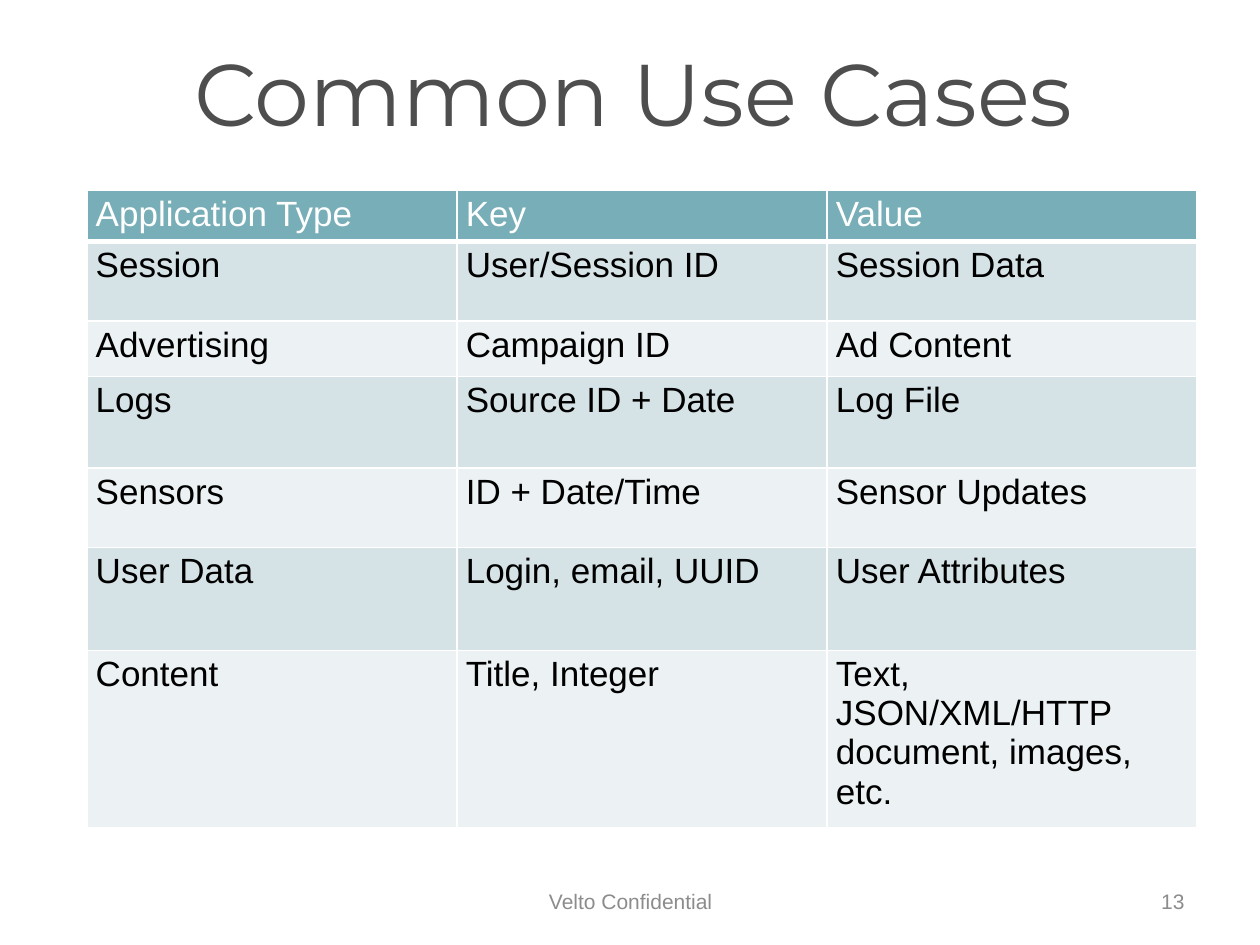
import pptx
import pptx.util
import pptx.dml.color
import pptx.enum.text
import pptx.oxml
import pptx.oxml.ns
from pptx.util import Cm

RGBColor = pptx.dml.color.RGBColor
PP_ALIGN = pptx.enum.text.PP_ALIGN
MIDDLE = pptx.enum.text.MSO_ANCHOR.MIDDLE

WHITE = RGBColor(0xFF, 0xFF, 0xFF)
BLACK = RGBColor(0x00, 0x00, 0x00)
TITLE_GREY = RGBColor(0x4E, 0x4E, 0x4E)
FOOTER_GREY = RGBColor(0x8C, 0x8C, 0x8C)
HEADER_TEAL = RGBColor(0x78, 0xAE, 0xB7)
BAND_DARK = RGBColor(0xD6, 0xE3, 0xE6)
BAND_LIGHT = RGBColor(0xEC, 0xF2, 0xF3)


def write_text(frame, text, size=20, font="Arial", color=BLACK, align=PP_ALIGN.LEFT):
    frame.word_wrap = True
    paragraph = frame.paragraphs[0]
    paragraph.alignment = align
    run = paragraph.add_run()
    run.text = text
    run.font.size = pptx.util.Pt(size)
    run.font.name = font
    run.font.color.rgb = color


def add_border(cell, side, points):
    cell._tc.get_or_add_tcPr().append(pptx.oxml.parse_xml(
        f'<a:{side} {pptx.oxml.ns.nsdecls("a")} w="{pptx.util.Pt(points)}">'
        f'<a:solidFill><a:srgbClr val="{WHITE}"/></a:solidFill></a:{side}>'))


deck = pptx.Presentation()
deck.slide_width, deck.slide_height = Cm(25.4), Cm(19.05)
slide = deck.slides.add_slide(deck.slide_layouts[6])

# Title, footer and slide number
captions = [
    ("Common Use Cases", (1.42, 0.56, 22.71, 2.59),
     dict(size=50, font="Montserrat", color=TITLE_GREY, align=PP_ALIGN.CENTER)),
    ("Velto Confidential", (8.69, 17.65, 8.05, 1.02),
     dict(size=12, color=FOOTER_GREY, align=PP_ALIGN.CENTER)),
    ("13", (18.21, 17.65, 5.92, 1.02),
     dict(size=12, color=FOOTER_GREY, align=PP_ALIGN.RIGHT)),
]
for text, box, style in captions:
    frame = slide.shapes.add_textbox(*map(Cm, box)).text_frame
    frame.vertical_anchor = MIDDLE
    write_text(frame, text, **style)

# Use cases: row height in cm, then the cells
use_cases = [
    (0.84, "Application Type", "Key", "Value"),
    (1.6, "Session", "User/Session ID", "Session Data"),
    (1.12, "Advertising", "Campaign ID", "Ad Content"),
    (1.85, "Logs", "Source ID + Date", "Log File"),
    (1.6, "Sensors", "ID + Date/Time", "Sensor Updates"),
    (2.08, "User Data", "Login, email, UUID", "User Attributes"),
    (3.07, "Content", "Title, Integer", "Text, JSON/XML/HTTP document, images, etc."),
]
table = slide.shapes.add_table(
    len(use_cases), 3, Cm(1.75), Cm(3.84), Cm(22.38),
    Cm(sum(row[0] for row in use_cases))).table
for column in table.columns:
    column.width = Cm(7.46)

for row_index, (height, *labels) in enumerate(use_cases):
    table.rows[row_index].height = Cm(height)
    is_header = row_index == 0
    band = BAND_DARK if row_index % 2 else BAND_LIGHT
    for column_index, label in enumerate(labels):
        cell = table.cell(row_index, column_index)
        cell.margin_left = cell.margin_right = Cm(0.18)
        cell.margin_top = cell.margin_bottom = Cm(0.09)
        write_text(cell.text_frame, label, color=WHITE if is_header else BLACK)
        # Borders come before the fill in the cell properties
        for side in ("lnL", "lnR", "lnT", "lnB"):
            add_border(cell, side, 3 if is_header and side == "lnB" else 1)
        cell.fill.solid()
        cell.fill.fore_color.rgb = HEADER_TEAL if is_header else band

deck.save("out.pptx")
